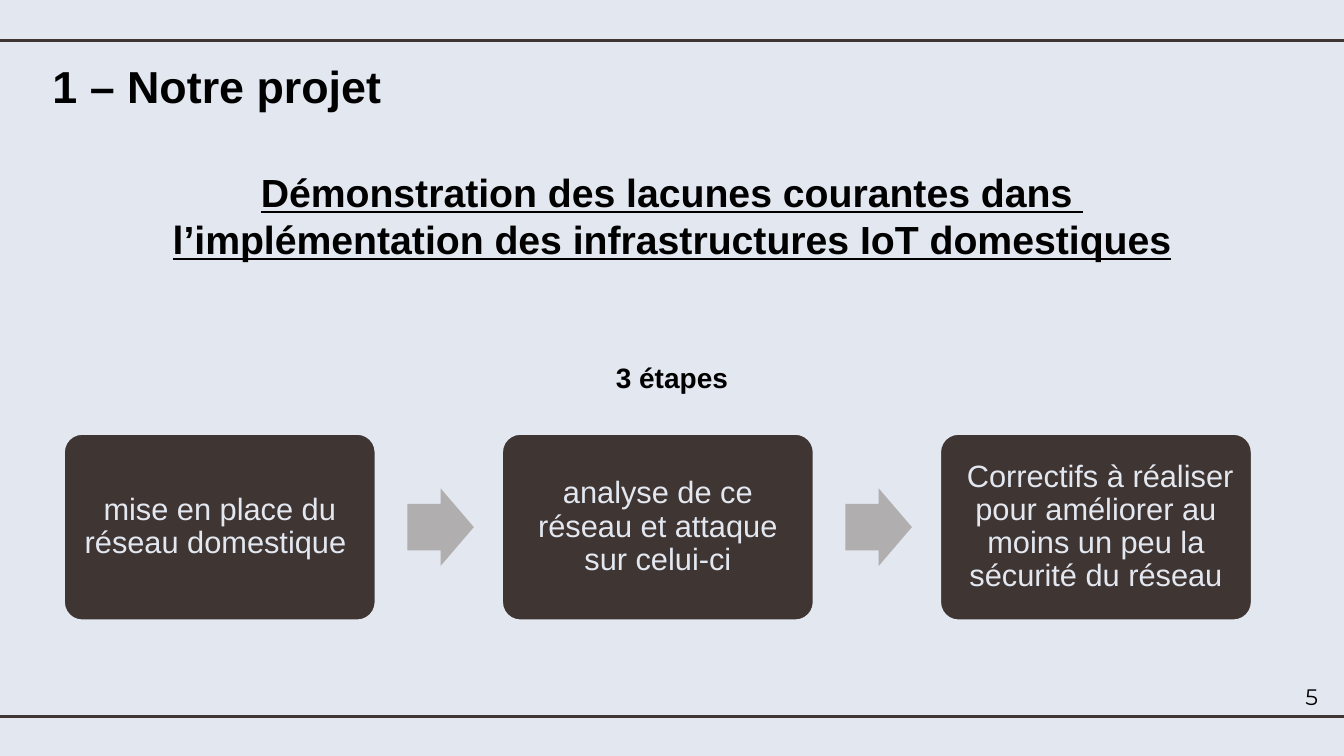
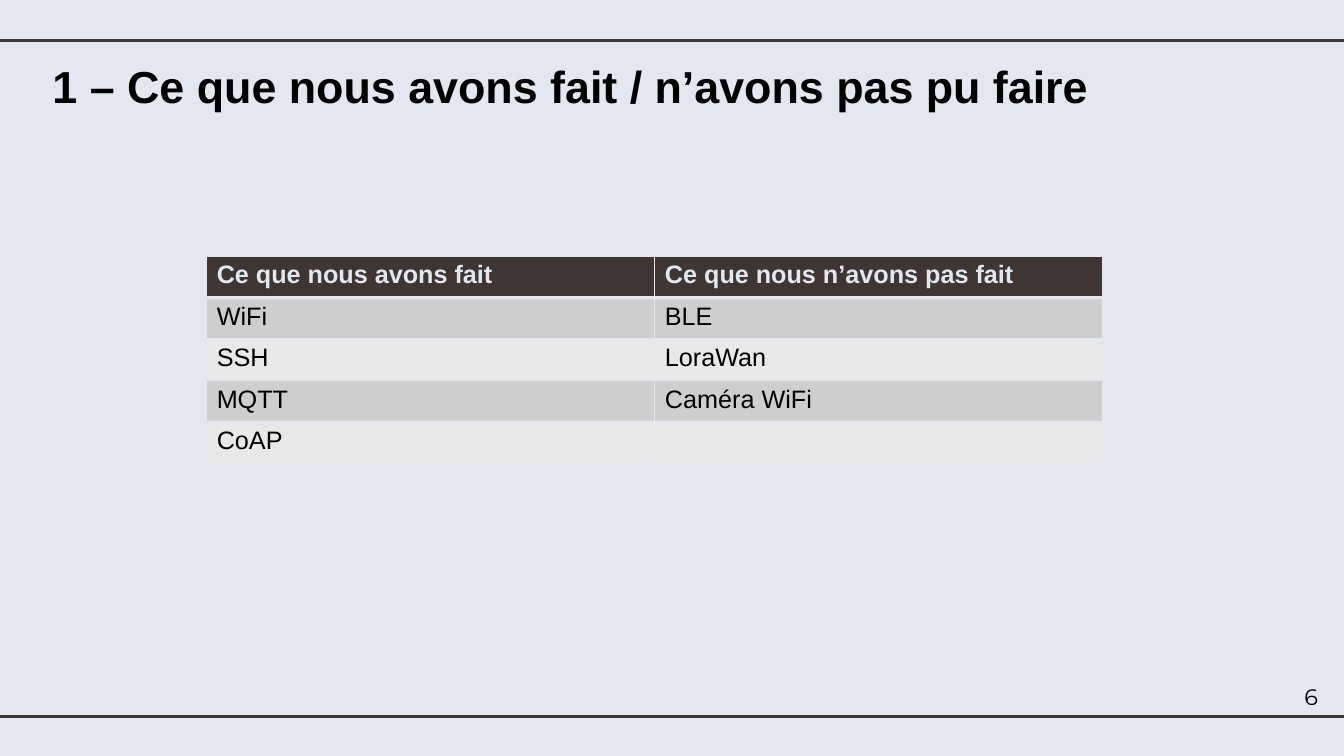
import pptx
import pptx.dml.color
import pptx.enum.shapes
import pptx.enum.text
import pptx.oxml.ns
import pptx.util
import lxml.etree

Inches = pptx.util.Inches
Pt = pptx.util.Pt
RGBColor = pptx.dml.color.RGBColor
Align = pptx.enum.text.PP_ALIGN
Anchor = pptx.enum.text.MSO_ANCHOR
Shape = pptx.enum.shapes.MSO_SHAPE
qn = pptx.oxml.ns.qn

# Shared look
PALE = RGBColor(0xE3, 0xE7, 0xF0)
DARK = RGBColor(0x3F, 0x35, 0x33)
BLACK = RGBColor(0x00, 0x00, 0x00)
ARROW_GREY = RGBColor(0xB0, 0xAE, 0xAE)
ROW_FILLS = [RGBColor(0xCF, 0xCE, 0xCE), RGBColor(0xE8, 0xE8, 0xE8)]
BODY_FONT = "Arial"
NUMBER_FONT = "Montserrat"
PAGE_WIDTH, PAGE_HEIGHT = 13.33, 7.5
RULE_HEIGHTS = [0.4, 7.11]


def add_span(para, text, size, color=BLACK, bold=False, underline=False, font=BODY_FONT):
    span = para.add_run()
    span.text = text
    span.font.name = font
    span.font.size = Pt(size)
    span.font.color.rgb = color
    span.font.bold = bold
    span.font.underline = underline


def add_text(page, area, lines, size, align=Align.CENTER, anchor=Anchor.TOP, **style):
    box = page.shapes.add_textbox(*map(Inches, area))
    frame = box.text_frame
    frame.word_wrap = True
    frame.vertical_anchor = anchor
    for index, line in enumerate(lines):
        para = frame.add_paragraph() if index else frame.paragraphs[0]
        para.alignment = align
        add_span(para, line, size, **style)


def add_solid(page, preset, area, color):
    shape = page.shapes.add_shape(preset, *map(Inches, area))
    shape.shadow.inherit = False
    shape.fill.solid()
    shape.fill.fore_color.rgb = color
    shape.line.fill.background()
    return shape


# Background and rules, kept on the slide master
def style_master(deck, page):
    master = deck.slide_master
    master.background.fill.solid()
    master.background.fill.fore_color.rgb = PALE
    for height in RULE_HEIGHTS:
        rule = page.shapes.add_connector(
            pptx.enum.shapes.MSO_CONNECTOR.STRAIGHT,
            Inches(0), Inches(height), Inches(PAGE_WIDTH), Inches(height))
        rule.line.color.rgb = DARK
        rule.line.width = Pt(2.25)
        lxml.etree.SubElement(rule.element.spPr, qn("a:effectLst"))
        master.shapes.element.append(rule.element)


# Page with its title and number
def add_page(deck, title, number):
    page = deck.slides.add_slide(deck.slide_layouts.get_by_name("Title Only"))
    box = page.shapes.title
    box.left, box.top, box.width, box.height = map(Inches, (0.42, 0.48, 11.46, 0.99))
    frame = box.text_frame
    frame.margin_left = frame.margin_right = Inches(0.1)
    frame.margin_top = frame.margin_bottom = Inches(0.1)
    frame.vertical_anchor = Anchor.TOP
    para = frame.paragraphs[0]
    para.alignment = Align.LEFT
    add_span(para, title, 32, bold=True)
    add_text(page, (10.17, 6.71, 3, 0.4), [number], 16,
             align=Align.RIGHT, anchor=Anchor.MIDDLE, font=NUMBER_FONT)
    return page


# Row of steps joined by block arrows
def add_steps(page, area, steps):
    left, top, width, height = area
    step_width, arrow_width, arrow_height, arrow_gap = 3.1, 0.66, 0.77, 0.31
    pitch = (width - step_width) / (len(steps) - 1)
    for index, text in enumerate(steps):
        step_left = left + index * pitch
        step = add_solid(page, Shape.ROUNDED_RECTANGLE,
                         (step_left, top, step_width, height), DARK)
        step.adjustments[0] = 0.1
        step.line.color.rgb = PALE
        step.line.width = Pt(2)
        frame = step.text_frame
        frame.word_wrap = True
        frame.vertical_anchor = Anchor.MIDDLE
        frame.margin_left = frame.margin_right = Inches(0.09)
        frame.margin_top = frame.margin_bottom = Inches(0.09)
        para = frame.paragraphs[0]
        para.alignment = Align.CENTER
        para.line_spacing = 0.9
        add_span(para, text, 22, color=PALE)
        if index < len(steps) - 1:
            arrow = add_solid(page, Shape.RIGHT_ARROW,
                              (step_left + step_width + arrow_gap,
                               top + (height - arrow_height) / 2,
                               arrow_width, arrow_height), ARROW_GREY)
            arrow.adjustments[0] = 0.6
            arrow.adjustments[1] = 0.5


def set_borders(cell, top, bottom):
    properties = cell._tc.get_or_add_tcPr()
    for side, width in (("lnL", 1), ("lnR", 1), ("lnT", top), ("lnB", bottom)):
        border = lxml.etree.SubElement(properties, qn("a:" + side), w=str(Pt(width)))
        fill = lxml.etree.SubElement(border, qn("a:solidFill"))
        lxml.etree.SubElement(fill, qn("a:srgbClr"), val=str(PALE))


# Two-column summary, heading row first
def add_summary(page, area, rows):
    table = page.shapes.add_table(len(rows), len(rows[0]), *map(Inches, area)).table
    for row_index, row in enumerate(rows):
        heading = row_index == 0
        for column_index, text in enumerate(row):
            cell = table.cell(row_index, column_index)
            set_borders(cell, top=3 if row_index == 1 else 1, bottom=3 if heading else 1)
            cell.fill.solid()
            cell.fill.fore_color.rgb = DARK if heading else ROW_FILLS[(row_index - 1) % 2]
            if text:
                add_span(cell.text_frame.paragraphs[0], text, 18,
                         color=PALE if heading else BLACK, bold=heading)


def add_project_page(deck):
    page = add_page(deck, "1 – Notre projet", "5")
    add_text(page, (0, 1.62, PAGE_WIDTH, 1.68),
             ["Démonstration des lacunes courantes dans ",
              "l’implémentation des infrastructures IoT domestiques"],
             28, bold=True, underline=True)
    add_text(page, (0, 3.53, PAGE_WIDTH, 0.44), ["3 étapes"], 20, bold=True)
    add_steps(page, (0.63, 4.3, 11.79, 1.86), [
        "mise en place du réseau domestique ",
        "analyse de ce réseau et attaque sur celui-ci",
        " Correctifs à réaliser pour améliorer au moins un peu la sécurité du réseau",
    ])
    return page


def add_results_page(deck):
    page = add_page(deck, "1 – Ce que nous avons fait / n’avons pas pu faire", "6")
    add_summary(page, (2.05, 2.54, 8.89, 2.06), [
        ("Ce que nous avons fait", "Ce que nous n’avons pas fait"),
        ("WiFi", "BLE"),
        ("SSH", "LoraWan"),
        ("MQTT", "Caméra WiFi"),
        ("CoAP", ""),
    ])


def main():
    deck = pptx.Presentation()
    deck.slide_width = Inches(PAGE_WIDTH)
    deck.slide_height = Inches(PAGE_HEIGHT)
    style_master(deck, add_project_page(deck))
    add_results_page(deck)
    deck.save("out.pptx")


if __name__ == "__main__":
    main()
